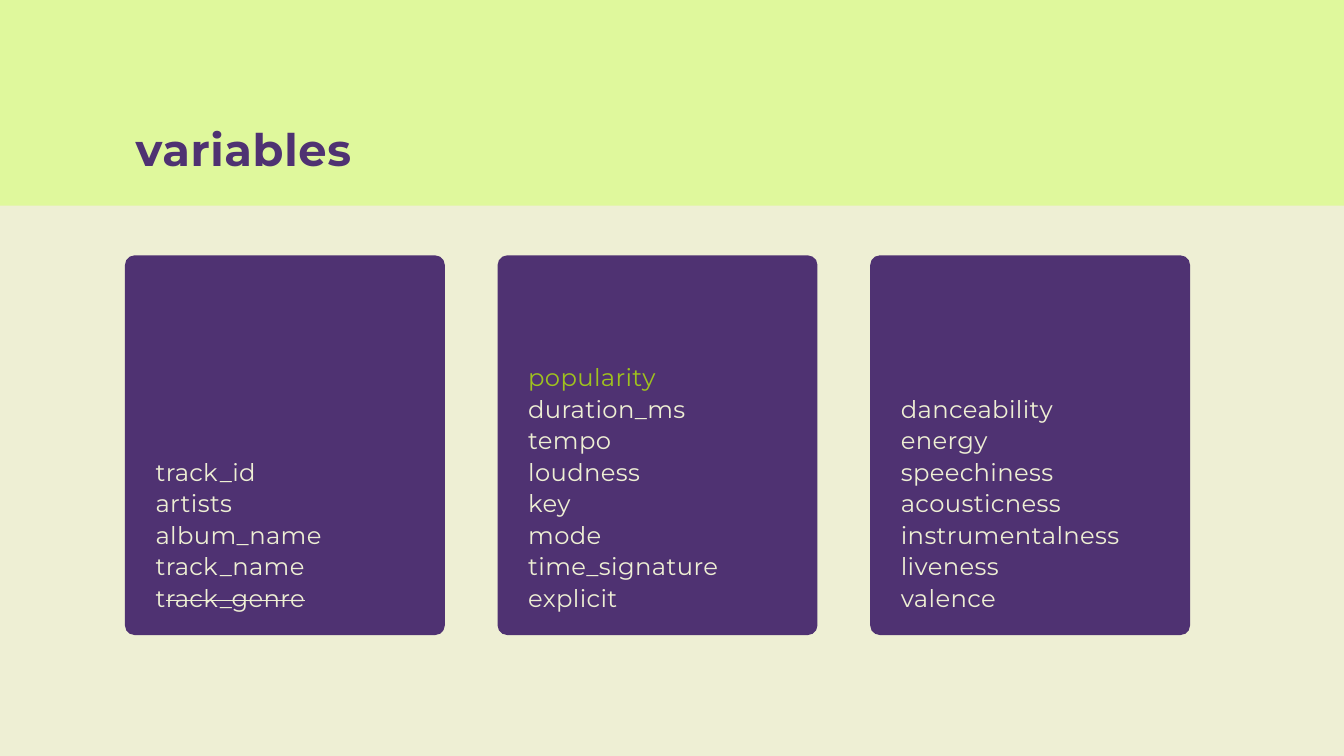
"""Builds the slide listing the variables of a music track data set."""
import pptx
import pptx.dml.color
import pptx.enum.shapes
import pptx.enum.text
import pptx.util

LIME = pptx.dml.color.RGBColor(0xDF, 0xF8, 0x9C)
PURPLE = pptx.dml.color.RGBColor(0x4F, 0x32, 0x72)
CREAM = pptx.dml.color.RGBColor(0xEE, 0xEF, 0xD4)
OLIVE = pptx.dml.color.RGBColor(0x9F, 0xC2, 0x1E)

COLUMNS, ROWS = 200, 112.5
CARD_LEFT, CARD_TOP, CARD_WIDTH, CARD_HEIGHT = 18.6, 38, 47.6, 56.5
CARD_PITCH, CARD_INSET, LIST_WIDTH, LIST_BOTTOM = 55.45, 4.55, 38.1, 91.1
LINE_POINTS = 33.8
LINE_ROWS = LINE_POINTS / 7.2

TITLE_STYLE = {"name": "Montserrat", "size": pptx.util.Pt(48), "bold": True}
LIST_STYLE = {"name": "Montserrat", "size": pptx.util.Pt(26), "bold": False}

VARIABLE_GROUPS = [
    ["track_id", "artists", "album_name", "track_name", "track_genre"],
    ["popularity", "duration_ms", "tempo", "loudness", "key", "mode",
     "time_signature", "explicit"],
    ["danceability", "energy", "speechiness", "acousticness",
     "instrumentalness", "liveness", "valence"],
]
TARGET = "popularity"
DROPPED = "track_genre"


class VariablesSlide:
    def __init__(self, deck):
        self.cell = deck.slide_width / COLUMNS
        self.slide = deck.slides.add_slide(deck.slide_layouts[5])
        background = self.slide.background.fill
        background.solid()
        background.fore_color.rgb = CREAM

    def grid(self, *lengths):
        return [round(length * self.cell) for length in lengths]

    def block(self, preset, box, color):
        shape = self.slide.shapes.add_shape(preset, *self.grid(*box))
        shape.shadow.inherit = False
        shape.fill.solid()
        shape.fill.fore_color.rgb = color
        shape.line.fill.background()
        return shape

    def band(self, height):
        rectangle = pptx.enum.shapes.MSO_SHAPE.RECTANGLE
        self.block(rectangle, (0, 0, COLUMNS, height), LIME)

    def card(self, left):
        rounded = pptx.enum.shapes.MSO_SHAPE.ROUNDED_RECTANGLE
        box = (left, CARD_TOP, CARD_WIDTH, CARD_HEIGHT)
        self.block(rounded, box, PURPLE).adjustments[0] = 0.03

    def frame(self, holder):
        frame = holder.text_frame
        settings = {
            "margin_left": 0, "margin_top": 0,
            "margin_right": 0, "margin_bottom": 0, "word_wrap": True,
            "auto_size": pptx.enum.text.MSO_AUTO_SIZE.NONE,
            "vertical_anchor": pptx.enum.text.MSO_ANCHOR.TOP,
        }
        for name, value in settings.items():
            setattr(frame, name, value)
        return frame

    def fill_line(self, paragraph, pieces, style, color, leading, tracking):
        paragraph.alignment = pptx.enum.text.PP_ALIGN.LEFT
        paragraph.line_spacing = pptx.util.Pt(leading)
        for text, struck in pieces:
            run = paragraph.add_run()
            run.text = text
            for name, value in style.items():
                setattr(run.font, name, value)
            run.font.color.rgb = color
            properties = run._r.get_or_add_rPr()
            properties.set("spc", str(tracking))
            if struck:
                properties.set("strike", "sngStrike")

    def title(self, text, box):
        heading = self.slide.shapes.title
        heading.left, heading.top, heading.width, heading.height = self.grid(*box)
        self.slide.shapes._spTree.append(heading._element)
        paragraph = self.frame(heading).paragraphs[0]
        self.fill_line(paragraph, [(text, False)], TITLE_STYLE, PURPLE, 57.6, 70)

    def variable_list(self, left, variables):
        height = len(variables) * LINE_ROWS
        box = self.grid(left, LIST_BOTTOM - height, LIST_WIDTH, height)
        frame = self.frame(self.slide.shapes.add_textbox(*box))
        for index, variable in enumerate(variables):
            paragraph = frame.add_paragraph() if index else frame.paragraphs[0]
            pieces = [(variable, False)]
            if variable == DROPPED:
                pieces = [(variable[:1], False), (variable[1:], True)]
            color = OLIVE if variable == TARGET else CREAM
            self.fill_line(paragraph, pieces, LIST_STYLE, color, LINE_POINTS, 40)


def main():
    deck = pptx.Presentation()
    deck.slide_width = pptx.util.Inches(20)
    deck.slide_height = round(deck.slide_width * ROWS / COLUMNS)
    page = VariablesSlide(deck)
    page.band(30.6)
    page.title("variables", (20.2, 18.1, 47.6, 7.9))
    for index, variables in enumerate(VARIABLE_GROUPS):
        left = CARD_LEFT + index * CARD_PITCH
        page.card(left)
        page.variable_list(left + CARD_INSET, variables)
    deck.save("out.pptx")


if __name__ == "__main__":
    main()
